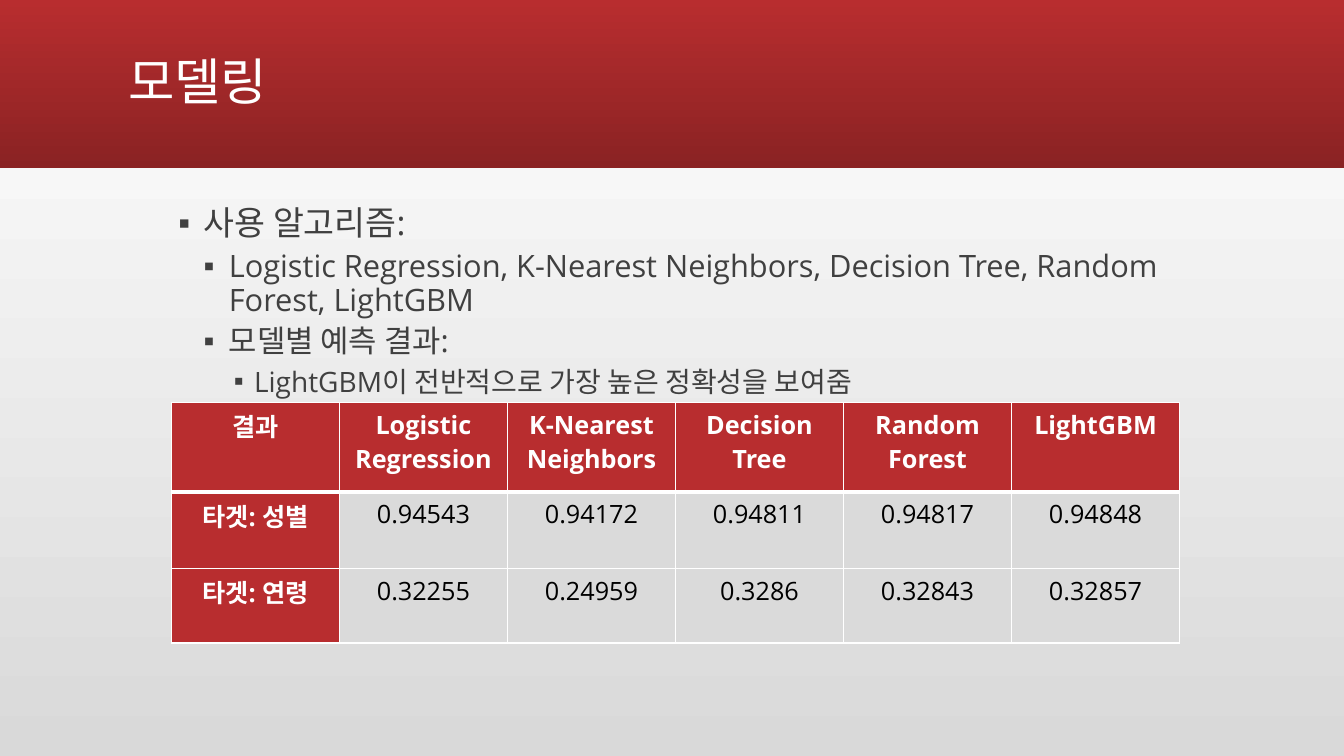
from lxml import etree
from pptx import Presentation, util as u
from pptx.dml.color import RGBColor
from pptx.enum import shapes, text
from pptx.oxml.ns import qn

FONT = "Open Sans"
RED, DARK_RED, WHITE = "B82D2F", "8A2223", "FFFFFF"
GREY, PALE, TEXT, BLACK = "D9D9D9", "DADADA", "404040", "000000"
TITLE = "모델링"
BULLETS = [
    (0, "사용 알고리즘:"),
    (1, "Logistic Regression, K-Nearest Neighbors, Decision Tree, Random Forest, LightGBM"),
    (1, "모델별 예측 결과:"),
    (2, "LightGBM이 전반적으로 가장 높은 정확성을 보여줌"),
]
LEVELS = [(24, 18, 0.25, 0.25), (22, 6, 0.5, 0.25), (20, 6, 0.75, 0.2)]
RESULTS = [
    ["결과", "Logistic Regression", "K-Nearest Neighbors", "Decision Tree", "Random Forest", "LightGBM"],
    ["타겟: 성별", "0.94543", "0.94172", "0.94811", "0.94817", "0.94848"],
    ["타겟: 연령", "0.32255", "0.24959", "0.3286", "0.32843", "0.32857"],
]
ROW_HEIGHTS = [0.89, 0.76, 0.74]
TABLE_WIDTH = 10


def colour(value):
    return RGBColor.from_string(value)


def gradient(fill, first, last, angle):
    fill.gradient()
    fill.gradient_angle = angle
    for stop, value in zip(fill.gradient_stops, (first, last)):
        stop.color.rgb = colour(value)


def place(shape, left, top, width, height):
    shape.left, shape.top = u.Inches(left), u.Inches(top)
    shape.width, shape.height = u.Inches(width), u.Inches(height)


def write(para, words, size, value, bold=False):
    span = para.add_run()
    span.text = words
    span.font.name, span.font.size, span.font.bold = FONT, u.Pt(size), bold
    span.font.color.rgb = colour(value)


def add_bullet(para, indent, hanging):
    props = para._p.get_or_add_pPr()
    props.set("marL", str(u.Inches(indent)))
    props.set("indent", str(-u.Inches(hanging)))
    etree.SubElement(props, qn("a:buChar")).set("char", "▪")


def add_borders(cell, bottom):
    props = cell._tc.get_or_add_tcPr()
    sides = [("a:lnL", 1), ("a:lnR", 1), ("a:lnT", 1), ("a:lnB", bottom)]
    for index, (side, width) in enumerate(sides):
        line = etree.Element(qn(side), w=str(u.Pt(width)))
        solid = etree.SubElement(line, qn("a:solidFill"))
        etree.SubElement(solid, qn("a:srgbClr")).set("val", WHITE)
        props.insert(index, line)


def add_band(deck, page):
    band = page.shapes.add_shape(
        shapes.MSO_SHAPE.RECTANGLE, 0, 0, deck.slide_width, u.Inches(1.67))
    band.shadow.inherit = False
    band.line.fill.background()
    gradient(band.fill, RED, DARK_RED, 270)
    page.shapes._spTree.insert(2, band._element)


def add_title(page):
    title = page.shapes.title
    place(title, 1.17, 0.11, 11, 1.45)
    title.text_frame.vertical_anchor = text.MSO_ANCHOR.MIDDLE
    para = title.text_frame.paragraphs[0]
    para.alignment = text.PP_ALIGN.LEFT
    para.line_spacing = 0.9
    write(para, TITLE, 36, WHITE)


def add_list(page):
    body = page.placeholders[1]
    place(body, 1.67, 2, 10, 5)
    frame = body.text_frame
    frame.auto_size = text.MSO_AUTO_SIZE.NONE
    for index, (level, words) in enumerate(BULLETS):
        para = frame.add_paragraph() if index else frame.paragraphs[0]
        size, before, indent, hanging = LEVELS[level]
        para.level = level
        para.line_spacing = 0.9
        para.space_before = u.Pt(before)
        add_bullet(para, indent, hanging)
        write(para, words, size, TEXT)


def add_results(page):
    rows, columns = len(RESULTS), len(RESULTS[0])
    table = page.shapes.add_table(
        rows, columns, u.Inches(1.7), u.Inches(3.99),
        u.Inches(TABLE_WIDTH), u.Inches(sum(ROW_HEIGHTS))).table
    for column in table.columns:
        column.width = u.Inches(TABLE_WIDTH / columns)
    for r, (height, values) in enumerate(zip(ROW_HEIGHTS, RESULTS)):
        table.rows[r].height = u.Inches(height)
        for c, words in enumerate(values):
            cell = table.cell(r, c)
            heading = r == 0 or c == 0
            cell.fill.solid()
            cell.fill.fore_color.rgb = colour(RED if heading else PALE)
            add_borders(cell, 3 if r == 0 else 1)
            para = cell.text_frame.paragraphs[0]
            para.alignment = text.PP_ALIGN.CENTER
            write(para, words, 18, WHITE if heading else BLACK, heading)


def main():
    deck = Presentation()
    deck.slide_width, deck.slide_height = u.Inches(13.33), u.Inches(7.5)
    page = deck.slides.add_slide(deck.slide_layouts[1])
    gradient(page.background.fill, GREY, WHITE, 90)
    add_band(deck, page)
    add_title(page)
    add_list(page)
    add_results(page)
    deck.save("out.pptx")


if __name__ == "__main__":
    main()
